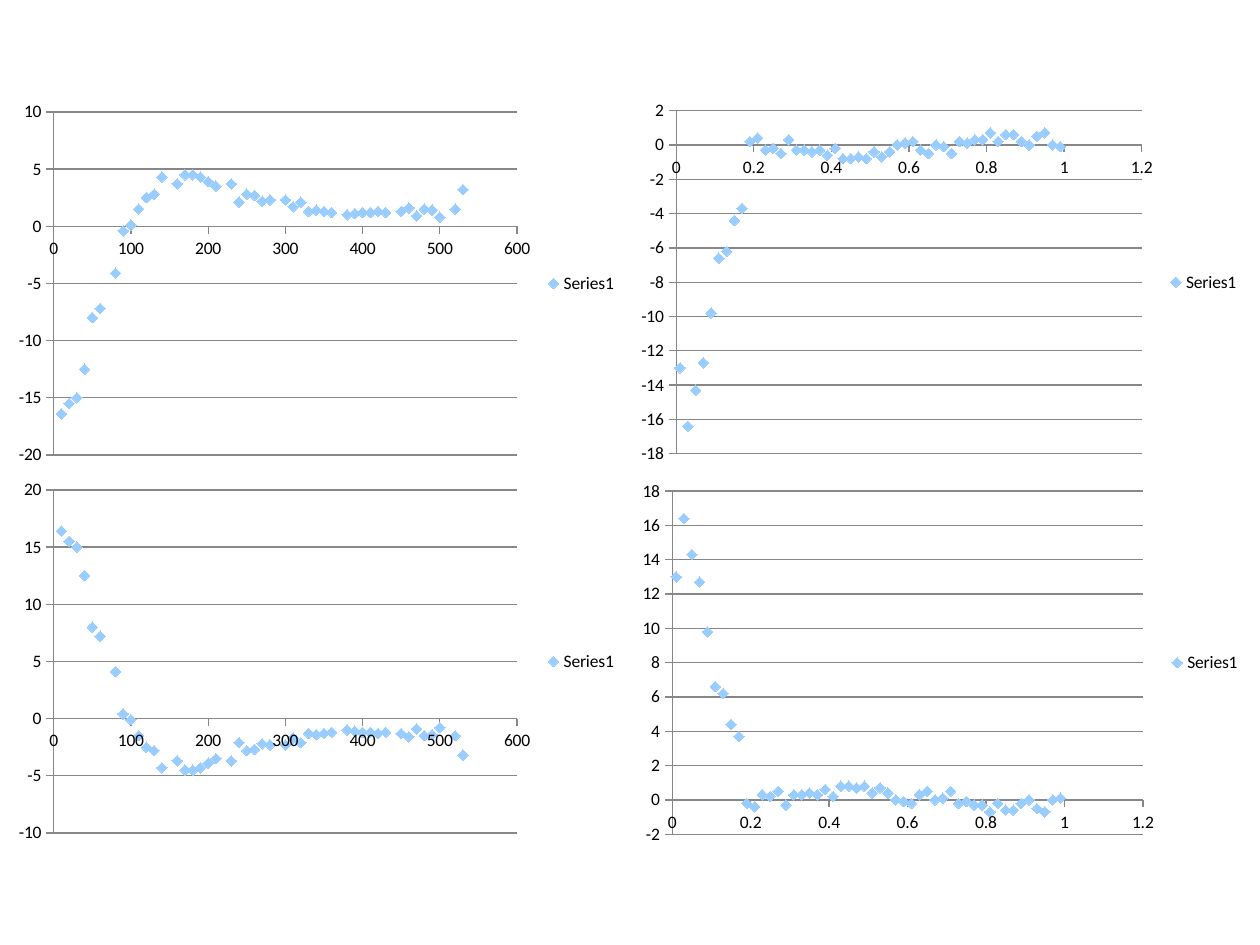
import pptx
import pptx.util
import pptx.chart.data
import pptx.dml.color
import pptx.enum.chart
from dataclasses import dataclass

Inches = pptx.util.Inches
ENUM = pptx.enum.chart


@dataclass(frozen=True)
class Theme:
    """Colours, font and sizes of the slide."""
    font: str = "Calibri"
    size: int = 10
    mark: int = 6
    text: str = "000000"
    dot: str = "99CCFF"
    line: str = "878787"


THEME = Theme()

LONG = [-16.4, -15.5, -15, -12.5, -8, -7.2, -4.1, -0.4, 0.1, 1.5, 2.5, 2.8,
        4.3, 3.7, 4.5, 4.5, 4.3, 3.9, 3.5, 3.7, 2.1, 2.8, 2.7, 2.2, 2.3, 2.3,
        1.7, 2.1, 1.3, 1.4, 1.3, 1.2, 1, 1.1, 1.2, 1.2, 1.3, 1.2, 1.3, 1.6,
        0.9, 1.5, 1.4, 0.8, 1.5, 3.2]
UNIT = [-13, -16.4, -14.3, -12.7, -9.8, -6.6, -6.2, -4.4, -3.7, 0.2, 0.4,
        -0.3, -0.2, -0.5, 0.3, -0.3, -0.3, -0.4, -0.3, -0.6, -0.2, -0.8, -0.8,
        -0.7, -0.8, -0.4, -0.7, -0.4, 0, 0.1, 0.2, -0.3, -0.5, 0, -0.1, -0.5,
        0.2, 0.1, 0.3, 0.3, 0.7, 0.2, 0.6, 0.6, 0.2, 0, 0.5, 0.7, 0, -0.1]


def color(code):
    """Turn a hex code into a colour."""
    return pptx.dml.color.RGBColor.from_string(code)


def flip(nums):
    """Change the sign of every value."""
    return [-num for num in nums]


def style_axis(axis, low, high, step, grid):
    """Set the scale, ticks and lines of one axis."""
    axis.minimum_scale, axis.maximum_scale = low, high
    axis.major_unit = step
    axis.major_tick_mark = ENUM.XL_TICK_MARK.OUTSIDE
    axis.minor_tick_mark = ENUM.XL_TICK_MARK.NONE
    axis.tick_label_position = ENUM.XL_TICK_LABEL_POSITION.NEXT_TO_AXIS
    axis.has_major_gridlines = grid
    lines = [axis.format.line]
    if grid:
        lines.append(axis.major_gridlines.format.line)
    for line in lines:
        line.color.rgb = color(THEME.line)
        line.width = pptx.util.Pt(0.75)


def style_dots(series):
    """Show a series as plain diamonds without a line."""
    series.format.line.fill.background()
    mark = series.marker
    mark.style = ENUM.XL_MARKER_STYLE.DIAMOND
    mark.size = THEME.mark
    mark.format.fill.solid()
    mark.format.fill.fore_color.rgb = color(THEME.dot)
    mark.format.line.fill.background()


def add_plot(slide, left, top, xs, ys, across, upright):
    """Add one scatter chart; each scale is (low, high, step)."""
    data = pptx.chart.data.XyChartData()
    series = data.add_series("Series1")
    for x, y in zip(xs, ys):
        series.add_data_point(x, y)
    chart = slide.shapes.add_chart(
        ENUM.XL_CHART_TYPE.XY_SCATTER, Inches(left), Inches(top),
        Inches(4.95), Inches(3), data).chart
    chart.has_title = False
    chart.has_legend = True
    chart.legend.position = ENUM.XL_LEGEND_POSITION.RIGHT
    chart.legend.include_in_layout = False
    chart.font.name = THEME.font
    chart.font.size = pptx.util.Pt(THEME.size)
    chart.font.color.rgb = color(THEME.text)
    chart.plots[0].vary_by_categories = False
    style_axis(chart.category_axis, *across, grid=False)
    style_axis(chart.value_axis, *upright, grid=True)
    for series in chart.plots[0].series:
        series.smooth = False
        style_dots(series)


def main():
    """Build the slide with its four charts."""
    deck = pptx.Presentation()
    deck.slide_width, deck.slide_height = Inches(10), Inches(7.5)
    slide = deck.slides.add_slide(deck.slide_layouts[6])
    long_x = [int(round(5.8 + 11.585 * i, -1)) for i in range(len(LONG))]
    unit_x = [round(0.01 + 0.02 * i, 2) for i in range(len(UNIT))]
    wide, small = (0, 600, 100), (0, 1.2, 0.2)
    add_plot(slide, 4.99, 0.74, unit_x, UNIT, small, (-18, 2, 2))
    add_plot(slide, 0.05, 0.75, long_x, LONG, wide, (-20, 10, 5))
    add_plot(slide, 0.05, 3.75, long_x, flip(LONG), wide, (-10, 20, 5))
    add_plot(slide, 5, 3.76, unit_x, flip(UNIT), small, (-2, 18, 2))
    deck.save("out.pptx")


main()
